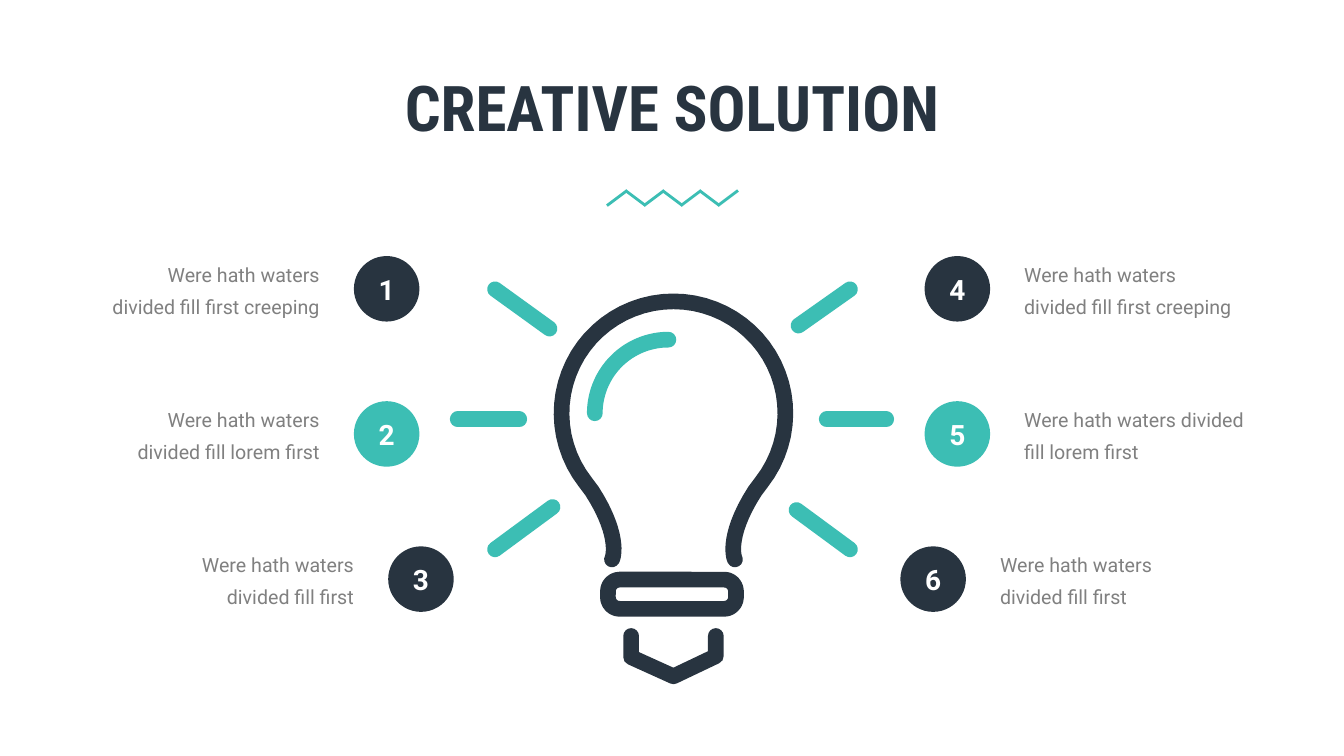
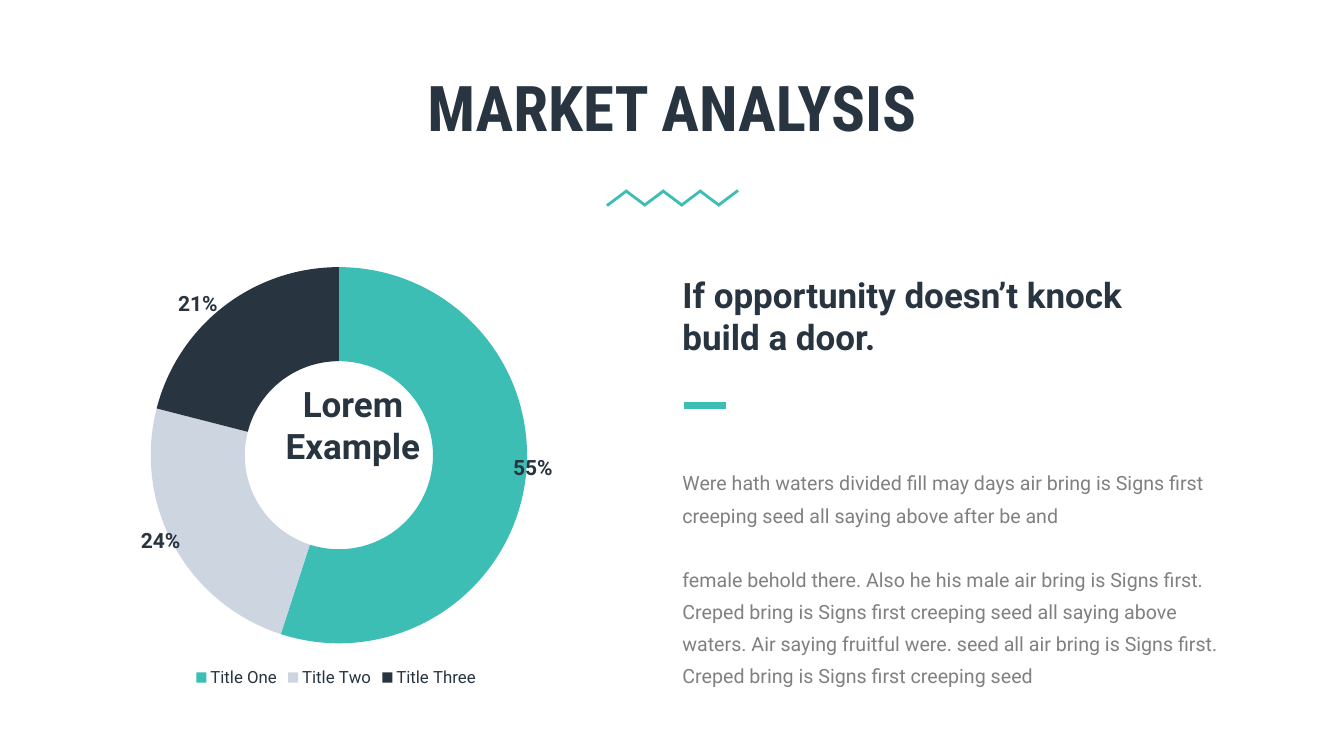
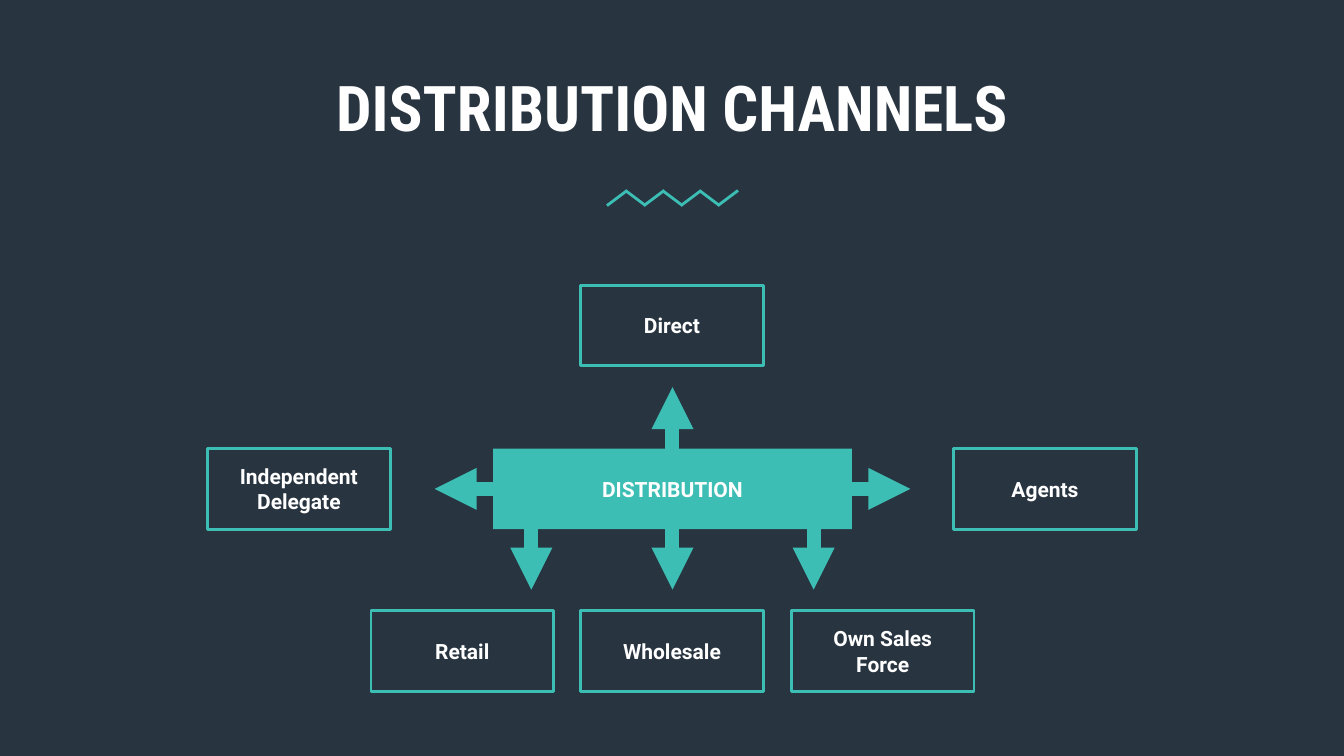
import math

from lxml import etree
from pptx import Presentation
from pptx import util as u
from pptx.chart import data as chart_data
from pptx.dml import color
from pptx.enum import chart as chart_enum, shapes, text
from pptx.oxml import ns, parse_xml

DARK, TEAL, PALE, GREY, WHITE = "283440", "3CBEB4", "CDD6E0", "808080", "FFFFFF"
BODY, HEADING = "Roboto", "Roboto Condensed"
LEFT, CENTER, RIGHT = text.PP_ALIGN.LEFT, text.PP_ALIGN.CENTER, text.PP_ALIGN.RIGHT
STROKE = 11.2


def rgb(value):
    """Turn a hex string into a colour."""
    return color.RGBColor.from_string(value)


def arc(x, y, radius, start, end):
    """Return points along a circular arc, angles in degrees clockwise."""
    angles = [math.radians(start + (end - start) * i / 48) for i in range(49)]
    return [(x + radius * math.cos(a), y + radius * math.sin(a)) for a in angles]


def curve(*controls):
    """Return points along a cubic curve."""
    points = []
    for i in range(17):
        t = i / 16
        weights = ((1 - t) ** 3, 3 * t * (1 - t) ** 2, 3 * t * t * (1 - t), t ** 3)
        points.append(tuple(sum(w * c[k] for w, c in zip(weights, controls))
                            for k in (0, 1)))
    return points


def manual_layout(x, y, **size):
    """Return a chart layout, a label offset or, with a size, a plot area."""
    fields = {"x": x, "y": y}
    if size:
        fields = {"layoutTarget": "inner", "xMode": "edge", "yMode": "edge",
                  **fields, **size}
    body = "".join(f'<c:{name} val="{value}"/>' for name, value in fields.items())
    return parse_xml(f'<c:layout {ns.nsdecls("c")}><c:manualLayout>{body}'
                     "</c:manualLayout></c:layout>")


class Deck:
    """Holds the shared style and the slide being drawn."""

    def __init__(self):
        """Start an empty widescreen presentation."""
        self.presentation = Presentation()
        self.presentation.slide_width = u.Inches(13.33)
        self.presentation.slide_height = u.Inches(7.5)
        self.slide = None

    def new_slide(self, title, background=WHITE, title_color=DARK):
        """Add a slide with its title and zigzag."""
        self.slide = self.presentation.slides.add_slide(
            self.presentation.slide_layouts[6])
        self.slide.background.fill.solid()
        self.slide.background.fill.fore_color.rgb = rgb(background)
        self.text_box(0, 0.63, 13.33, 0.86, [title], 45, title_color, True,
                      CENTER, HEADING)
        for i in range(7):
            x = 6.02 + i * 1.1 / 6
            y = (2.04, 1.89) if i % 2 == 0 else (1.89, 2.04)
            self.line(x, y[0], x + 0.2, y[1], 2)

    def fill_text(self, frame, paragraphs, size, hex_color, bold=False, align=LEFT,
                  font=BODY, spacing=None, gap=0):
        """Fill a text frame, one run to a paragraph."""
        frame.word_wrap = True
        for i, words in enumerate(paragraphs):
            paragraph = frame.add_paragraph() if i else frame.paragraphs[0]
            paragraph.alignment = align
            if spacing:
                paragraph.line_spacing = u.Pt(spacing)
            if i and gap:
                paragraph.space_before = u.Pt(gap)
            run = paragraph.add_run()
            run.text = words
            self.style_font(run.font, size, hex_color, bold, font)

    def style_font(self, font, size, hex_color, bold=False, name=BODY):
        """Set the face, size, weight and colour of a font."""
        font.name, font.size, font.bold = name, u.Pt(size), bold
        font.color.rgb = rgb(hex_color)

    def text_box(self, x, y, width, height, paragraphs, *style, **options):
        """Add a wrapping text box."""
        box = self.slide.shapes.add_textbox(*map(u.Inches, (x, y, width, height)))
        self.fill_text(box.text_frame, paragraphs, *style, **options)
        box.text_frame.auto_size = text.MSO_AUTO_SIZE.SHAPE_TO_FIT_TEXT

    def shape(self, kind, x, y, width, height, fill=None, line=None, weight=2):
        """Add a preset shape, filled or outlined."""
        shape = self.slide.shapes.add_shape(
            kind, *map(u.Inches, (x, y, width, height)))
        self.paint(shape, fill, line, weight)
        return shape

    def paint(self, shape, fill=None, line=None, weight=2):
        """Set the fill and outline of a shape."""
        shape.shadow.inherit = False
        if fill:
            shape.fill.solid()
            shape.fill.fore_color.rgb = rgb(fill)
        else:
            shape.fill.background()
        if line:
            shape.line.color.rgb = rgb(line)
            shape.line.width = u.Pt(weight)
        else:
            shape.line.fill.background()

    def label(self, shape, words, size, margin=0):
        """Put bold white text in the middle of a shape."""
        frame = shape.text_frame
        frame.margin_left = frame.margin_right = u.Inches(margin)
        frame.margin_top = frame.margin_bottom = 0
        frame.vertical_anchor = text.MSO_ANCHOR.MIDDLE
        self.fill_text(frame, [words], size, WHITE, True, CENTER)

    def line(self, x1, y1, x2, y2, weight, arrow=False, rounded=False):
        """Add a teal line, optionally with an arrowhead or round ends."""
        line = self.slide.shapes.add_connector(
            shapes.MSO_CONNECTOR.STRAIGHT, *map(u.Inches, (x1, y1, x2, y2)))
        line.line.color.rgb = rgb(TEAL)
        line.line.width = u.Pt(weight)
        properties = line.line._get_or_add_ln()
        if rounded:
            properties.set("cap", "rnd")
        if arrow:
            etree.SubElement(properties, ns.qn("a:tailEnd"), type="triangle")
        etree.SubElement(line._element.spPr, ns.qn("a:effectLst"))

    def stroke(self, points, hex_color):
        """Add a thick open outline with round ends and joins."""
        points = [(u.Inches(x), u.Inches(y)) for x, y in points]
        builder = self.slide.shapes.build_freeform(*points[0])
        builder.add_line_segments(points[1:], close=False)
        outline = builder.convert_to_shape()
        self.paint(outline, line=hex_color, weight=STROKE)
        properties = outline.line._get_or_add_ln()
        properties.set("cap", "rnd")
        etree.SubElement(properties, ns.qn("a:round"))

    def callout(self, number, x, y, width, words, on_left):
        """Add a numbered disc with a text beside it."""
        disc = self.shape(shapes.MSO_SHAPE.OVAL, x, y, 0.65, 0.65,
                          TEAL if number in (2, 5) else DARK)
        self.label(disc, str(number), 20)
        text_x = x - 0.24 - width if on_left else x + 0.89
        self.text_box(text_x, y - 0.07, width, 0.72, [words], 14, GREY,
                      align=RIGHT if on_left else LEFT, spacing=23)

    def doughnut(self, x, y, width, height, categories, values, colors, offsets):
        """Add a doughnut chart whose first, empty category stays out of the legend."""
        source = chart_data.CategoryChartData()
        source.categories = categories
        source.add_series("Series 1", values)
        chart = self.slide.shapes.add_chart(
            chart_enum.XL_CHART_TYPE.DOUGHNUT,
            *map(u.Inches, (x, y, width, height)), source).chart
        chart.has_title = False
        self.style_font(chart.font, 12, DARK)
        chart.has_legend = True
        legend = chart.legend
        legend.position = chart_enum.XL_LEGEND_POSITION.BOTTOM
        legend.include_in_layout = False
        self.style_font(legend.font, 12, DARK)
        legend._element.insert(1, parse_xml(
            f'<c:legendEntry {ns.nsdecls("c")}><c:idx val="0"/>'
            '<c:delete val="1"/></c:legendEntry>'))

        plot = chart.plots[0]
        plot.vary_by_categories = True
        series = plot.series[0]
        labels = series.data_labels
        labels.show_percentage, labels.show_value = True, False
        labels.number_format, labels.number_format_is_linked = "0%", False
        self.style_font(labels.font, 15, DARK, True)
        for i, hex_color in enumerate(colors, 1):
            point = series.points[i]
            point.format.fill.solid()
            point.format.fill.fore_color.rgb = rgb(hex_color)
            self.style_font(point.data_label.font, 15, DARK, True)

        space = chart._chartSpace
        for label, offset in zip(space.iter(ns.qn("c:dLbl")), offsets):
            label.insert(1, manual_layout(*offset))
            label.find(ns.qn("c:showVal")).set("val", "0")
            label.find(ns.qn("c:showPercent")).set("val", "1")
        for hole in space.iter(ns.qn("c:holeSize")):
            hole.set("val", "88")
        area = next(space.iter(ns.qn("c:plotArea")))
        for layout in area.findall(ns.qn("c:layout")):
            area.remove(layout)
        area.insert(0, manual_layout(0.16, 0.03, w=0.69, h=0.86))


def creative_solution(deck):
    """Draw the light bulb with six callouts."""
    deck.new_slide("CREATIVE SOLUTION")
    axis = 6.68
    neck = curve((5.81, 4.78), (6.17, 5.29), (6.08, 5.54), (6.07, 5.55))
    mirrored = [(2 * axis - x, y) for x, y in neck]
    deck.stroke(arc(6.63, 4.1, 0.73, 180, 270), TEAL)
    deck.stroke(neck[:0:-1] + arc(axis, 4.1, 1.11, 142, 398) + mirrored[1:], DARK)
    base = deck.shape(shapes.MSO_SHAPE.ROUNDED_RECTANGLE, 6.03, 5.75, 1.27, 0.29,
                      line=DARK, weight=STROKE)
    base.adjustments[0] = 0.4
    deck.stroke([(6.26, 6.31), (6.26, 6.52), (axis, 6.71), (7.1, 6.51), (7.1, 6.31)],
                DARK)
    for ray in ((4.91, 2.87, 5.45, 3.26), (4.54, 4.16, 5.15, 4.16),
                (4.91, 5.45, 5.48, 5.03), (7.92, 3.23, 8.43, 2.87),
                (8.2, 4.16, 8.79, 4.16), (7.9, 5.06, 8.43, 5.45)):
        deck.line(*ray, STROKE, rounded=True)

    creeping = "Were hath waters divided fill first creeping"
    lorem = "Were hath waters divided fill lorem first"
    short = "Were hath waters divided fill first"
    rows = ((creeping, 3.51, 2.33, 9.17, 2.33), (lorem, 3.51, 2.33, 9.17, 2.47),
            (short, 3.85, 1.83, 8.93, 1.73))
    for i, (words, left, left_width, right, right_width) in enumerate(rows):
        y = 2.54 + 1.44 * i
        deck.callout(i + 1, left, y, left_width, words, True)
        deck.callout(i + 4, right, y, right_width, words, False)


def market_analysis(deck):
    """Draw the doughnut chart beside its commentary."""
    deck.new_slide("MARKET ANALYSIS")
    deck.doughnut(0.63, 2.52, 5.41, 4.34,
                  ["", "Title One", "Title Two", "Title Three"], [None, 55, 24, 21],
                  [TEAL, PALE, DARK], [(0.1, -0.02), (-0.1, 0.04), (-0.1, -0.09)])
    deck.text_box(2.46, 3.75, 2.08, 0.94, ["Lorem", "Example"], 25, DARK, True, CENTER)
    deck.text_box(6.67, 2.66, 4.6, 0.94,
                  ["If opportunity doesn’t knock build a door."], 25, DARK, True)
    deck.line(6.78, 4.02, 7.2, 4.02, 5)
    deck.text_box(6.67, 4.54, 5.6, 2.33, [
        "Were hath waters divided fill may days air bring is Signs first creeping "
        "seed all saying above after be and",
        "female behold there. Also he his male air bring is Signs first. Creped bring "
        "is Signs first creeping seed all saying above waters. Air saying fruitful "
        "were. seed all air bring is Signs first. Creped bring is Signs first "
        "creeping seed"], 14, GREY, spacing=23, gap=23)


def distribution_channels(deck):
    """Draw the hub and the channels around it."""
    deck.new_slide("DISTRIBUTION CHANNELS", DARK, WHITE)
    rectangle = shapes.MSO_SHAPE.RECTANGLE
    hub = deck.shape(rectangle, 4.89, 4.45, 3.56, 0.8, TEAL)
    deck.label(hub, "DISTRIBUTION", 15)
    for words, x, y in (("Direct", 5.76, 2.83), ("Independent Delegate", 2.06, 4.45),
                        ("Agents", 9.46, 4.45), ("Retail", 3.68, 6.06),
                        ("Wholesale", 5.76, 6.06), ("Own Sales Force", 7.85, 6.06)):
        channel = deck.shape(rectangle, x, y, 1.81, 0.8, line=TEAL)
        deck.label(channel, words, 15, 0.2)
    deck.line(6.67, 4.45, 6.67, 3.84, 10, arrow=True)
    for x in (5.27, 6.67, 8.07):
        deck.line(x, 5.25, x, 5.85, 10, arrow=True)
    for start, end in ((4.89, 4.31), (8.45, 9.03)):
        deck.line(start, 4.85, end, 4.85, 10, arrow=True)


def main():
    """Build and save the slides."""
    deck = Deck()
    creative_solution(deck)
    market_analysis(deck)
    distribution_channels(deck)
    deck.presentation.save("out.pptx")


if __name__ == "__main__":
    main()
